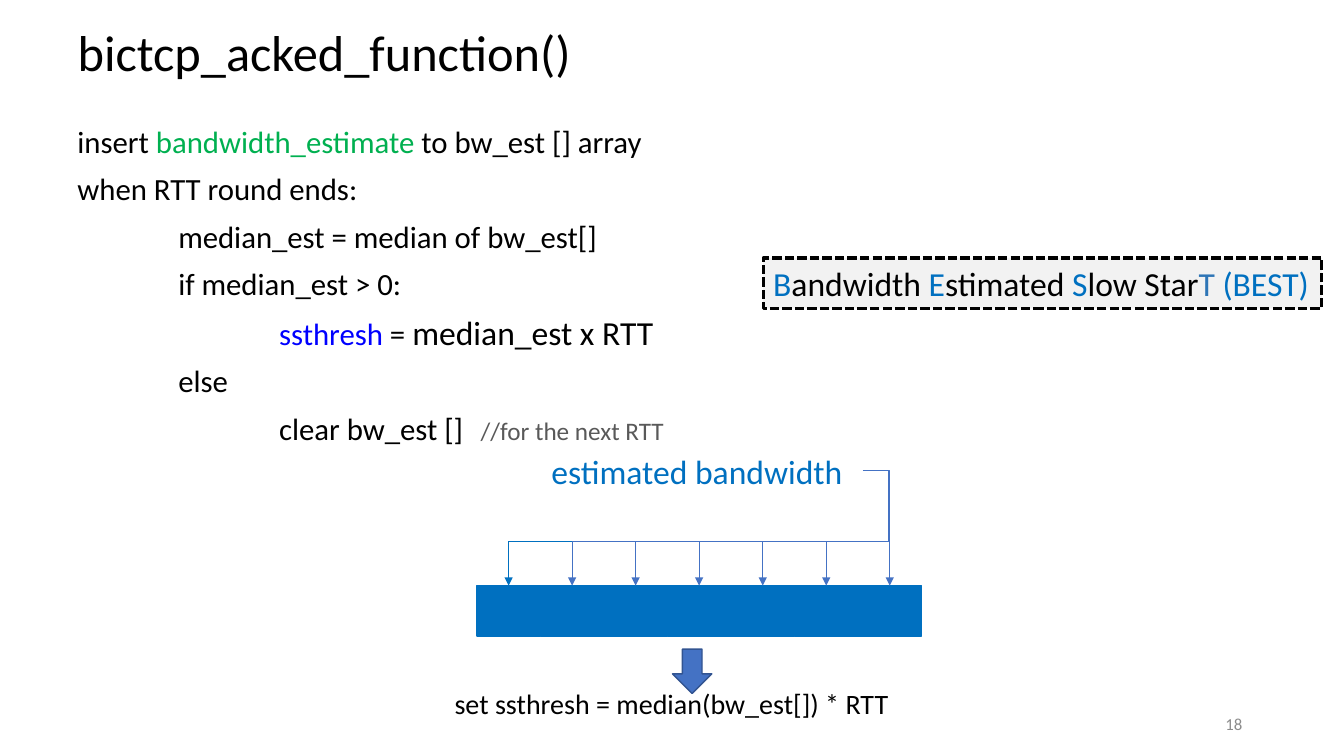
import lxml.etree
import pptx
import pptx.dml.color
import pptx.enum.dml
import pptx.enum.shapes
import pptx.enum.text
import pptx.oxml.ns
import pptx.util

Inches = pptx.util.Inches
Pt = pptx.util.Pt
qn = pptx.oxml.ns.qn
ALIGN = pptx.enum.text.PP_ALIGN
ANCHOR = pptx.enum.text.MSO_ANCHOR
SHAPE = pptx.enum.shapes.MSO_SHAPE

COLORS = {
    "black": "000000",
    "blue": "0070C0",
    "accent": "4472C4",
    "accent_edge": "325491",
    "steel": "2E75B6",
    "green": "00B050",
    "variable": "0000FF",
    "comment": "595959",
    "number": "8C8C8C",
    "panel": "F2F2F2",
}

PSEUDOCODE = [
    (0, [("insert ", 22, "black"), ("bandwidth_estimate ", 22, "green"),
         ("to bw_est [] array", 22, "black")]),
    (0, [("when RTT round ends:", 22, "black")]),
    (1, [("median_est = median of bw_est[]", 22, "black")]),
    (1, [("if median_est > 0:", 22, "black")]),
    (2, [("ssthresh", 22, "variable"), (" = ", 22, "black"),
         ("median_est x RTT", 24, "black")]),
    (1, [("else", 22, "black")]),
    (2, [("clear bw_est []\t", 22, "black"), ("//for the next RTT", 18, "comment")]),
]

BEST_NAME = [
    ("B", 24, "blue"), ("andwidth ", 24, "black"), ("E", 24, "blue"),
    ("stimated ", 24, "black"), ("S", 24, "blue"), ("low Star", 24, "black"),
    ("T ", 24, "steel"), ("(BEST)", 24, "blue"),
]

CELL_COUNT, CELL_LEFT, CELL_TOP = 7, 4.73, 5.81
CELL_WIDTH, CELL_HEIGHT = 0.63, 0.5
FEED_X, FEED_Y, TRUNK_X, BUS_Y = 8.56, 4.67, 8.81, 5.37


def rgb(name):
    return pptx.dml.color.RGBColor.from_string(COLORS[name])


def write_runs(paragraph, pieces, align=ALIGN.LEFT):
    paragraph.alignment = align
    for text, size, color in pieces:
        run = paragraph.add_run()
        run.text = text
        run.font.name = "Calibri"
        run.font.size = Pt(size)
        run.font.color.rgb = rgb(color)


def add_label(slide, box, pieces, align=ALIGN.LEFT, anchor=ANCHOR.TOP, wrap=True):
    label = slide.shapes.add_textbox(*map(Inches, box))
    label.text_frame.word_wrap = wrap
    label.text_frame.vertical_anchor = anchor
    write_runs(label.text_frame.paragraphs[0], pieces, align)


def add_block(slide, kind, box, fill, edge, weight=1):
    block = slide.shapes.add_shape(kind, *map(Inches, box))
    block.shadow.inherit = False
    block.fill.solid()
    block.fill.fore_color.rgb = rgb(fill)
    block.line.color.rgb = rgb(edge)
    block.line.width = Pt(weight)
    return block


def add_title(slide):
    title = slide.shapes.title
    title.left, title.top, title.width, title.height = map(Inches, (0.67, 0.1, 6.18, 0.89))
    title.text_frame.vertical_anchor = ANCHOR.MIDDLE
    title.text_frame.auto_size = pptx.enum.text.MSO_AUTO_SIZE.NONE
    heading = title.text_frame.paragraphs[0]
    heading.line_spacing = 0.9
    write_runs(heading, [("bictcp_acked_function()", 36, "black")])


def add_pseudocode(slide):
    listing = slide.shapes.add_textbox(*map(Inches, (0.67, 1.21, 11.5, 3.71))).text_frame
    listing.word_wrap = True
    for index, (level, pieces) in enumerate(PSEUDOCODE):
        statement = listing.add_paragraph() if index else listing.paragraphs[0]
        statement.line_spacing = 0.9
        if index:
            statement.space_before = Pt(10)
        properties = statement._p.get_or_add_pPr()
        properties.set("marL", str(Inches(level)))
        properties.set("indent", "0")
        write_runs(statement, pieces)


def add_feed(slide, cell_x, color):
    feed = slide.shapes.add_connector(
        pptx.enum.shapes.MSO_CONNECTOR.ELBOW,
        Inches(FEED_X), Inches(FEED_Y), Inches(cell_x), Inches(CELL_TOP))
    feed.line.color.rgb = rgb(color)
    feed.line.width = Pt(0.5)
    properties = feed._element.spPr
    lxml.etree.SubElement(properties.find(qn("a:ln")), qn("a:tailEnd"), type="triangle")
    lxml.etree.SubElement(properties, qn("a:effectLst"))
    geometry = properties.find(qn("a:prstGeom"))
    if cell_x > FEED_X:
        geometry.set("prst", "bentConnector2")
        return
    geometry.set("prst", "bentConnector4")
    guides = geometry.find(qn("a:avLst"))
    if guides is None:
        guides = lxml.etree.SubElement(geometry, qn("a:avLst"))
    bends = ((TRUNK_X - FEED_X) / (cell_x - FEED_X),
             (BUS_Y - FEED_Y) / (CELL_TOP - FEED_Y))
    for number, bend in enumerate(bends, 1):
        lxml.etree.SubElement(guides, qn("a:gd"), name=f"adj{number}",
                              fmla=f"val {round(bend * 100000)}")


def add_bandwidth_array(slide):
    for index in range(CELL_COUNT):
        left = CELL_LEFT + index * CELL_WIDTH
        add_block(slide, SHAPE.RECTANGLE, (left, CELL_TOP, CELL_WIDTH, CELL_HEIGHT),
                  "blue", "blue")
        add_feed(slide, left + CELL_WIDTH / 2, "accent" if index else "blue")


def add_best_panel(slide):
    panel = add_block(slide, SHAPE.RECTANGLE, (7.57, 2.56, 5.54, 0.5),
                      "panel", "black", 2.25)
    panel.line.dash_style = pptx.enum.dml.MSO_LINE.SQUARE_DOT
    panel.text_frame.word_wrap = False
    panel.text_frame.vertical_anchor = ANCHOR.TOP
    write_runs(panel.text_frame.paragraphs[0], BEST_NAME)


def main():
    deck = pptx.Presentation()
    deck.slide_width, deck.slide_height = Inches(13.33), Inches(7.5)
    slide = deck.slides.add_slide(deck.slide_layouts.get_by_name("Title Only"))
    add_title(slide)
    add_pseudocode(slide)
    add_label(slide, (9.42, 6.98, 3, 0.4), [("18", 12, "number")],
              ALIGN.RIGHT, ANCHOR.MIDDLE)
    add_label(slide, (5.37, 4.42, 3.19, 0.5), [("estimated bandwidth", 24, "blue")],
              wrap=False)
    add_bandwidth_array(slide)
    add_label(slide, (4.41, 6.76, 4.8, 0.44),
              [("set ssthresh = median(bw_est[]) * RTT", 20, "black")])
    add_best_panel(slide)
    add_block(slide, SHAPE.DOWN_ARROW, (6.67, 6.44, 0.39, 0.44), "accent", "accent_edge")
    deck.save("out.pptx")


if __name__ == "__main__":
    main()
